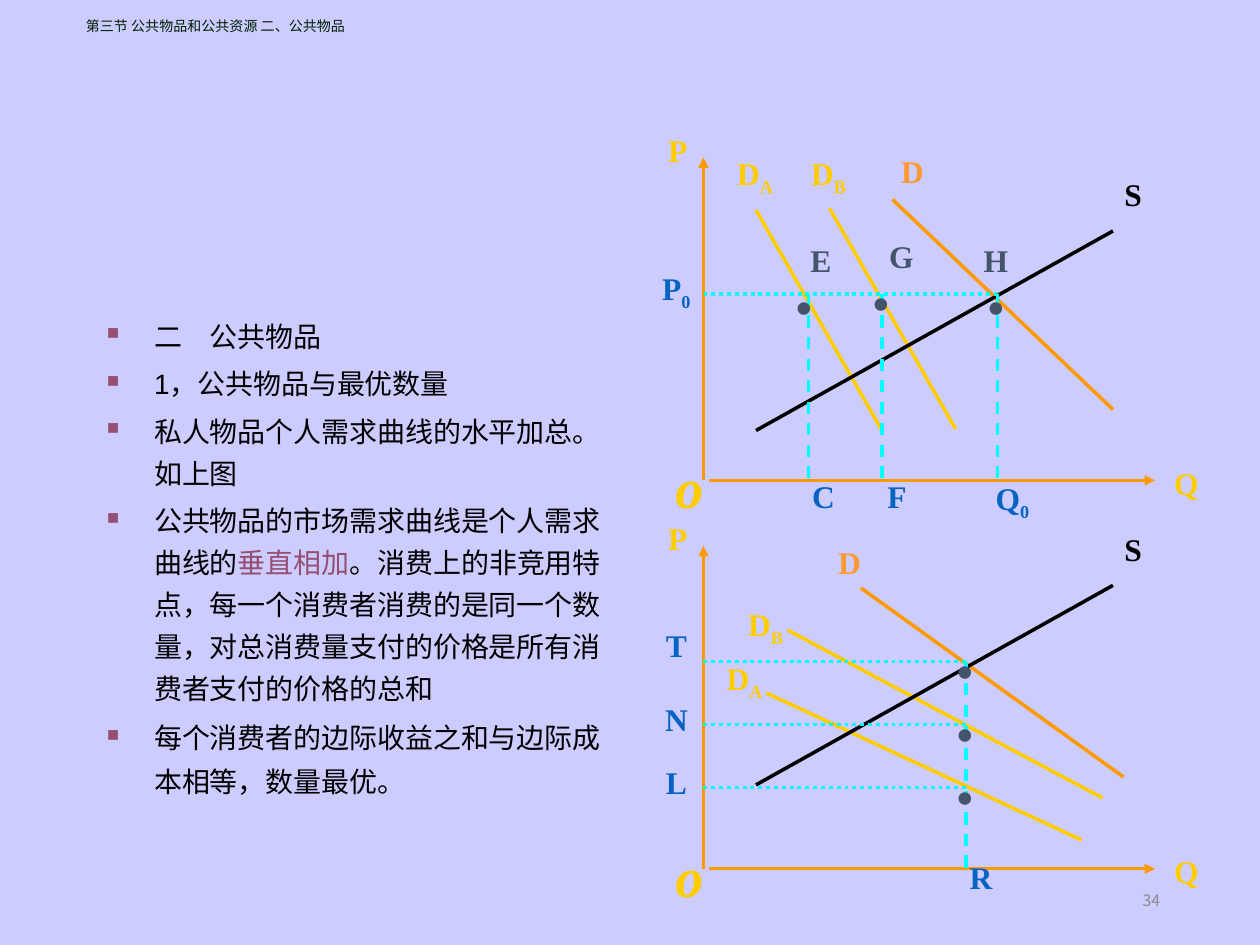
"""Build the slide on private and public goods demand curves."""
from lxml import etree
from pptx import Presentation
from pptx.dml.color import RGBColor
from pptx.enum.dml import MSO_LINE
from pptx.enum.shapes import MSO_CONNECTOR
from pptx.enum.text import MSO_ANCHOR, PP_ALIGN
from pptx.oxml.ns import qn
from pptx.util import Pt

STRAIGHT = MSO_CONNECTOR.STRAIGHT
DASH, DOTS = MSO_LINE.DASH, MSO_LINE.ROUND_DOT
TOP, MIDDLE = MSO_ANCHOR.TOP, MSO_ANCHOR.MIDDLE
LEFT, CENTER, RIGHT = PP_ALIGN.LEFT, PP_ALIGN.CENTER, PP_ALIGN.RIGHT

LAVENDER = RGBColor(0xCC, 0xCC, 0xFF)
BLACK = RGBColor(0, 0, 0)
GRAY = RGBColor(0x8C, 0x8C, 0x8C)
DARK_GREEN = RGBColor(0, 0x1E, 0)
PLUM = RGBColor(0x95, 0x4F, 0x72)
ORANGE = RGBColor(0xFF, 0x99, 0)
LIGHT_ORANGE = RGBColor(0xFF, 0x99, 0x33)
GOLD = RGBColor(0xFF, 0xCC, 0)
CYAN = RGBColor(0, 0xFF, 0xFF)
BLUE = RGBColor(0x05, 0x63, 0xC1)
SLATE = RGBColor(0x44, 0x54, 0x6A)

SANS, BODY, SERIF = "Noto Sans CJK SC", "Arial", "Times New Roman"
DEFAULT_INSETS = (7.2, 3.6, 7.2, 3.6)
LABEL_INSETS = (20, 0, 3, 12)
AXIS_X, PRICE_TOP, QUANTITY_Y, QUANTITY_END = 402, 90, 274.5, 660
CHART_STEP = 222

BODY_TEXT = [
    (["二　公共物品"], 1.25),
    (["1，公共物品与最优数量"], 1.25),
    (["私人物品个人需求曲线的水平加总。如上图"], 1.25),
    (["公共物品的市场需求曲线是个人需求曲线的", "垂直相加",
      "。消费上的非竞用特点，每一个消费者消费的是同一个数量，"
      "对总消费量支付的价格是所有消费者支付的价格的总和"], 1.25),
    (["每个消费者的边际收益之和与边际成本相等，数量最优。"], 1.3),
]
CURVES = [
    (432, 120, 504, 246, GOLD), (474, 119, 546, 245, GOLD),
    (510, 114, 636, 234, ORANGE), (432, 246, 636, 132, BLACK),
    (438, 396, 618, 480, GOLD), (450, 360, 630, 456, GOLD),
    (492, 336, 642, 444, ORANGE), (432, 448.5, 636, 334.5, BLACK),
]
QUANTITY_GUIDES = [(462, 168, 276), (504, 168, 276), (570, 168, 276),
                   (552, 378, 498)]
PRICE_GUIDES = [(570, 168), (552, 378), (552, 414), (552, 450)]
LABELS = [
    ("D", "A", 378, 78, 90, GOLD), ("D", "B", 420, 78, 90, GOLD),
    ("D", "", 468, 78, 90, LIGHT_ORANGE), ("S", "", 612, 91.5, 54, BLACK),
    ("P", "0", 348, 144, 60, BLUE), ("C", "", 432, 264, 60, BLUE),
    ("F", "", 474, 264, 60, BLUE), ("Q", "0", 540, 264, 60, BLUE),
    ("D", "A", 372, 367, 90, GOLD), ("D", "B", 384, 336, 90, GOLD),
    ("D", "", 432, 301.5, 90, LIGHT_ORANGE), ("S", "", 612, 294, 54, BLACK),
    ("T", "", 348, 349, 60, BLUE), ("N", "", 348, 391.5, 60, BLUE),
    ("L", "", 348, 427.5, 60, BLUE), ("R", "", 522, 481.5, 60, BLUE),
]
POINT_NAMES = [("E", 456, 134), ("G", 501, 132), ("H", 555, 134)]
POINTS = [(432, 126), (476.5, 124), (542, 126),
          (524, 334), (524, 370), (524, 406)]


class SlideBuilder:
    """Hold the style and the current slide."""

    def __init__(self, deck):
        self.page = deck.slides.add_slide(deck.slide_layouts[6])
        self.page.background.fill.solid()
        self.page.background.fill.fore_color.rgb = LAVENDER

    def frame(self, left, top, width, height, insets=DEFAULT_INSETS, anchor=TOP):
        """Add an empty wrapping text box and return its text frame."""
        box = self.page.shapes.add_textbox(Pt(left), Pt(top), Pt(width), Pt(height))
        frame = box.text_frame
        frame.word_wrap = True
        frame.vertical_anchor = anchor
        (frame.margin_left, frame.margin_top,
         frame.margin_right, frame.margin_bottom) = map(Pt, insets)
        return frame

    def style(self, span, size, name, color, bold=False, italic=False):
        """Format one run."""
        font = span.font
        font.size, font.name, font.bold, font.italic = Pt(size), name, bold, italic
        font.color.rgb = color

    def text(self, words, area, size, name, color, align=LEFT, bold=False,
             anchor=MIDDLE):
        """Add a plain one-line text."""
        para = self.frame(*area, anchor=anchor).paragraphs[0]
        para.text = words
        para.alignment = align
        self.style(para.runs[0], size, name, color, bold)

    def label(self, words, area, color, size=18, subscript="", italic=False,
              drop=0):
        """Add a centred bold chart label, optionally with a subscript."""
        left, top, right, bottom = LABEL_INSETS
        para = self.frame(*area, (left, top + drop, right, bottom)).paragraphs[0]
        para.text = words
        para.alignment = CENTER
        para.line_spacing = 1.4
        if subscript:
            span = para.add_run()
            span.text = subscript
            span._r.get_or_add_rPr().set("baseline", "-25000")
        for span in para.runs:
            self.style(span, size, SERIF, color, True, italic)

    def line(self, x1, y1, x2, y2, color, width=2, dash=None, arrow=False):
        """Add a straight line, optionally dashed or with an arrowhead."""
        line = self.page.shapes.add_connector(STRAIGHT, Pt(x1), Pt(y1), Pt(x2), Pt(y2))
        line.line.color.rgb = color
        line.line.width = Pt(width)
        if dash:
            line.line.dash_style = dash
        if arrow:
            etree.SubElement(line.line._get_or_add_ln(), qn("a:tailEnd"), type="triangle")
        etree.SubElement(line._element.spPr, qn("a:effectLst"))

    def bullet(self, para):
        """Give a paragraph a square bullet with a hanging indent."""
        settings = para._p.get_or_add_pPr()
        settings.set("marL", str(Pt(27)))
        settings.set("indent", str(Pt(-27)))
        tint = etree.SubElement(settings, qn("a:buClr"))
        etree.SubElement(tint, qn("a:srgbClr"), val=str(PLUM))
        etree.SubElement(settings, qn("a:buSzPct"), val="60000")
        etree.SubElement(settings, qn("a:buChar"), char="■")

    def body(self, items, area):
        """Add the bulleted list, with the second run of an item highlighted."""
        frame = self.frame(*area)
        for index, (parts, spacing) in enumerate(items):
            para = frame.add_paragraph() if index else frame.paragraphs[0]
            self.bullet(para)
            para.line_spacing = spacing
            para.space_before = Pt(3.2 if index else 0)
            for position, words in enumerate(parts):
                span = para.add_run()
                span.text = words
                self.style(span, 16, BODY, PLUM if position == 1 else BLACK)

    def axes(self, shift):
        """Add price and quantity axes with their labels."""
        base = QUANTITY_Y + shift
        self.line(AXIS_X + 3, base, QUANTITY_END, base, ORANGE, 1.75, arrow=True)
        self.line(AXIS_X, base, AXIS_X, PRICE_TOP + shift, ORANGE, 1.75, arrow=True)
        self.label("o", (366, 214.5 + shift, 39, 96.5), GOLD, 32, italic=True, drop=29)
        self.label("Q", (649, 256.5 + shift, 41, 52.5), GOLD)
        self.label("P", (360, 66 + shift, 37.5, 52.5), GOLD)


def main():
    """Compose and save the slide."""
    deck = Presentation()
    deck.slide_width, deck.slide_height = Pt(720), Pt(540)
    slide = SlideBuilder(deck)
    slide.text("34", (508, 500, 162, 29), 9, SANS, GRAY, RIGHT)
    slide.text("第三节 公共物品和公共资源 二、公共物品", (42, 6, 636, 18),
               8, SANS, DARK_GREEN)
    slide.body(BODY_TEXT, (54, 174, 312, 336))
    for shift in (0, CHART_STEP):
        slide.axes(shift)
    for *ends, color in CURVES:
        slide.line(*ends, color)
    for x, top, bottom in QUANTITY_GUIDES:
        slide.line(x, top, x, bottom, CYAN, 1.75, DASH)
    for x, y in PRICE_GUIDES:
        slide.line(x, y, AXIS_X, y, CYAN, 2.25, DOTS)
    for words, subscript, left, top, width, color in LABELS:
        slide.label(words, (left, top, width, 52.5), color, subscript=subscript)
    for words, left, top in POINT_NAMES:
        slide.text(words, (left, top, 33, 36), 18, SERIF, SLATE, bold=True, anchor=TOP)
    for left, top in POINTS:
        slide.label("·", (left, top, 34, 86.5), SLATE, 44)
    deck.save("out.pptx")


if __name__ == "__main__":
    main()
